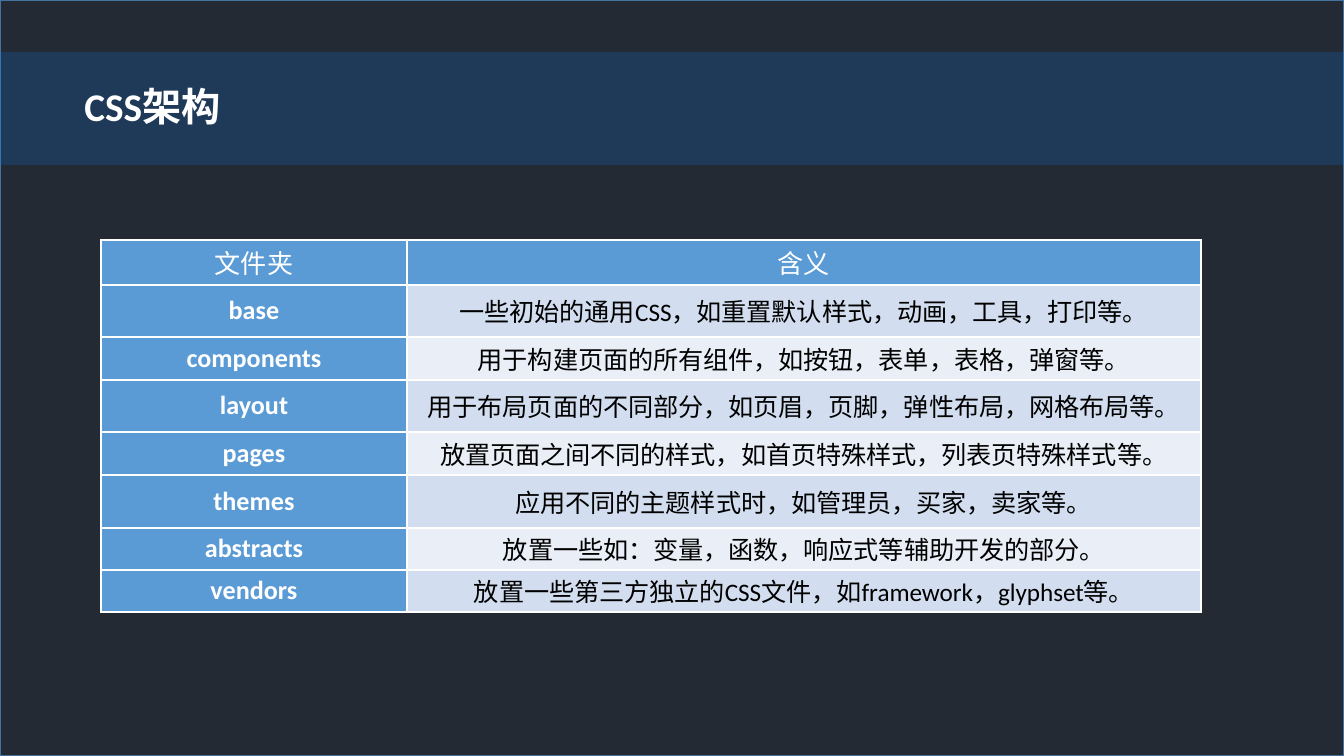
from lxml.etree import SubElement as Sub
from pptx import Presentation
from pptx.dml.color import RGBColor as RGB
from pptx.enum.shapes import MSO_SHAPE as Kind
from pptx.enum.text import MSO_ANCHOR as Anchor, MSO_AUTO_SIZE as Fit, PP_ALIGN as Align
from pptx.oxml.ns import qn
from pptx.util import Pt

WIDE, HIGH = 1344, 756
SCALE = 9144000 / WIDE
HUES = {
    "back": "232A34", "edge": "43739E", "band": "137EEC", "head": "5B9BD5",
    "odd": "D2DEEF", "even": "EAEFF7", "white": "FFFFFF", "black": "000000",
}
COLS = [306, 794]
ROWS = [
    (45, "文件夹", "含义"),
    (52, "base", "一些初始的通用CSS，如重置默认样式，动画，工具，打印等。"),
    (43, "components", "用于构建页面的所有组件，如按钮，表单，表格，弹窗等。"),
    (52, "layout", "用于布局页面的不同部分，如页眉，页脚，弹性布局，网格布局等。"),
    (43, "pages", "放置页面之间不同的样式，如首页特殊样式，列表页特殊样式等。"),
    (53, "themes", "应用不同的主题样式时，如管理员，买家，卖家等。"),
    (42, "abstracts", "放置一些如：变量，函数，响应式等辅助开发的部分。"),
    (42, "vendors", "放置一些第三方独立的CSS文件，如framework，glyphset等。"),
]


def px(num):
    """Turn pixels into EMU."""
    return round(num * SCALE)


def tint(name):
    """Look up a colour by name."""
    return RGB.from_string(HUES[name])


def write(frame, text, size=14, hue="white", bold=False, align=Align.CENTER):
    """Put one formatted paragraph into a text frame."""
    para = frame.paragraphs[0]
    para.alignment = align
    run = para.add_run()
    run.text = text
    font = run.font
    font.name, font.size, font.bold = "Calibri", Pt(size), bold
    font.color.rgb = tint(hue)


def block(slide, box, hue, edge=None, alpha=None):
    """Add a filled rectangle, with an outline or opacity if given."""
    shape = slide.shapes.add_shape(Kind.RECTANGLE, *map(px, box))
    shape.shadow.inherit = False
    shape.fill.solid()
    shape.fill.fore_color.rgb = tint(hue)
    if alpha:
        clr = shape.fill._xPr.find(qn("a:solidFill"))[0]
        Sub(clr, qn("a:alpha"), val=str(alpha * 1000))
    if edge:
        shape.line.color.rgb = tint(edge)
        shape.line.width = Pt(1)
    else:
        shape.line.fill.background()


def title(slide, box, text):
    """Place the title above the shapes drawn so far."""
    shape = slide.shapes.title
    shape.left, shape.top, shape.width, shape.height = map(px, box)
    slide.shapes._spTree.append(shape._element)
    frame = shape.text_frame
    frame.word_wrap = True
    frame.auto_size = Fit.SHAPE_TO_FIT_TEXT
    frame.vertical_anchor = Anchor.TOP
    write(frame, text, size=21, bold=True, align=Align.LEFT)


def border(cell, hue):
    """Draw a thin line on all four sides of a cell."""
    props = cell._tc.get_or_add_tcPr()
    for side in ("lnL", "lnR", "lnT", "lnB"):
        line = Sub(props, qn(f"a:{side}"), w=str(Pt(1)))
        fill = Sub(line, qn("a:solidFill"))
        Sub(fill, qn("a:srgbClr"), val=HUES[hue])


def style(cell, text, fill, **form):
    """Fill one table cell with colour and text."""
    cell.margin_left = cell.margin_right = px(16)
    cell.margin_top = cell.margin_bottom = 0
    cell.vertical_anchor = Anchor.MIDDLE
    border(cell, "white")
    cell.fill.solid()
    cell.fill.fore_color.rgb = tint(fill)
    write(cell.text_frame, text, **form)


def grid(slide, left, top):
    """Build the table of folders and their meanings."""
    box = left, top, sum(COLS), sum(row[0] for row in ROWS)
    table = slide.shapes.add_table(len(ROWS), len(COLS), *map(px, box)).table
    for col, wide in zip(table.columns, COLS):
        col.width = px(wide)
    for num, (high, name, note) in enumerate(ROWS):
        table.rows[num].height = px(high)
        first, last = table.cell(num, 0), table.cell(num, 1)
        style(first, name, "head", bold=num > 0)
        if num:
            style(last, note, "odd" if num % 2 else "even", size=13.5, hue="black")
        else:
            style(last, note, "head")


def main():
    """Build and save the slide."""
    deck = Presentation()
    deck.slide_width, deck.slide_height = px(WIDE), px(HIGH)
    slide = deck.slides.add_slide(deck.slide_layouts[5])
    block(slide, (0, 0, WIDE, HIGH), "back", edge="edge")
    block(slide, (0, 52, WIDE, 113), "band", alpha=20)
    title(slide, (71, 76, 1236, 60), "CSS架构")
    grid(slide, 101, 240)
    deck.save("out.pptx")


if __name__ == "__main__":
    main()
